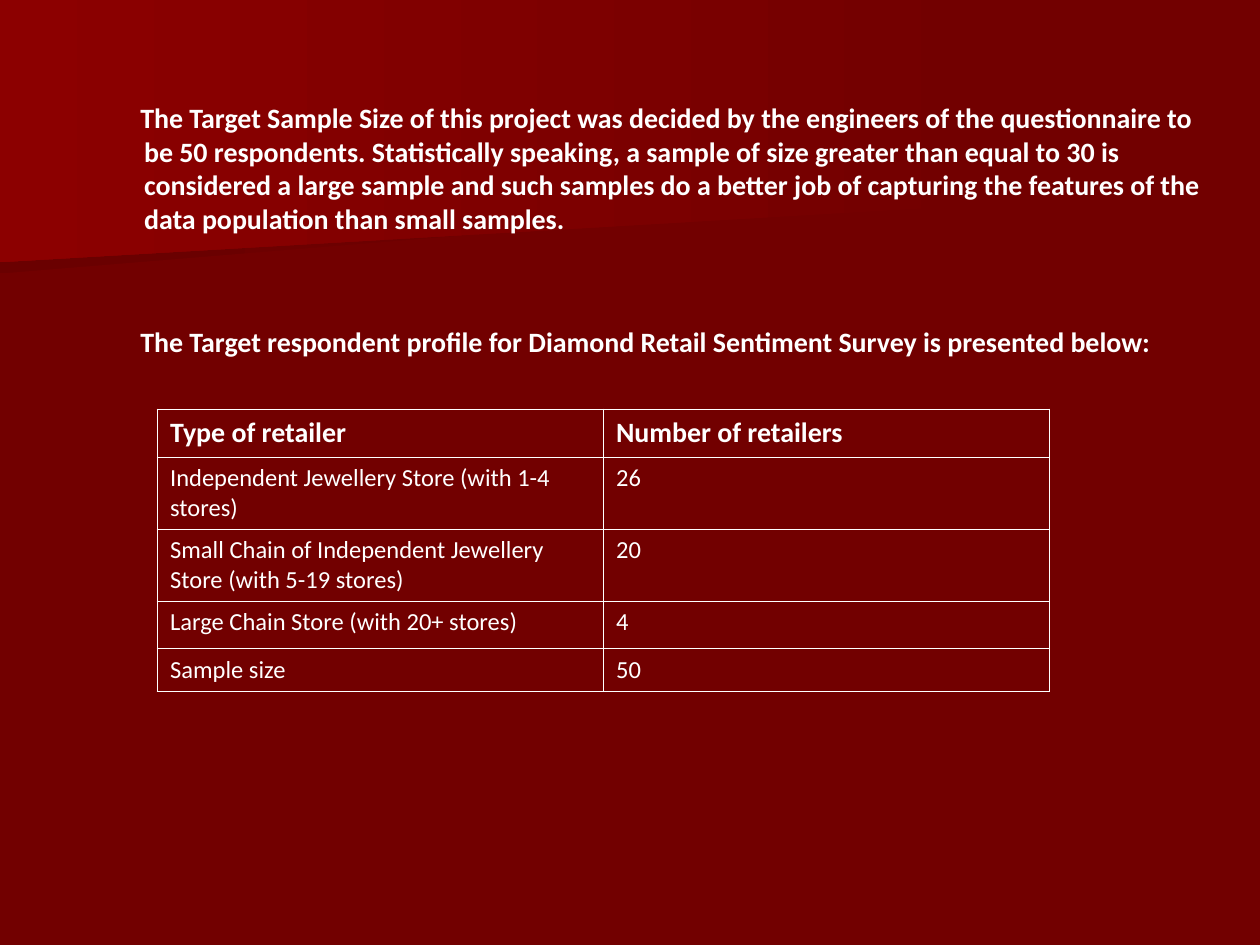
from dataclasses import dataclass

from lxml import etree
from pptx import Presentation
from pptx.dml.color import RGBColor
from pptx.enum.text import MSO_ANCHOR, PP_ALIGN
from pptx.oxml.ns import qn
from pptx.slide import Slide
from pptx.util import Emu, Inches, Pt

LEFT = PP_ALIGN.LEFT
TOP = MSO_ANCHOR.TOP
FONT = "Calibri"
UNIT = Inches(0.1)
COLS, ROWS = 100, 75
THIN, THICK = 0.45, 1.08
HUES = {"base": "720000", "dark": "6A0000", "glow": "8C0000", "ink": "FFFFFF"}


@dataclass
class Band:
    points: list[tuple[float, float]]
    hue: str


@dataclass
class Para:
    text: str
    gap: float


BANDS = [
    Band([(0, 10.1), (77.9, 10.1), (77.8, 15.3), (0, 21.7)], "dark"),
    Band([(0, 0), (79.2, 0), (79.2, 16.2), (0, 20.8)], "glow"),
]
PARAS = [
    Para(
        "The Target Sample Size of this project was decided by the engineers "
        "of the questionnaire to be 50 respondents. Statistically speaking, "
        "a sample of size greater than equal to 30 is considered a large "
        "sample and such samples do a better job of capturing the features "
        "of the data population than small samples.",
        0,
    ),
    Para(
        "The Target respondent profile for Diamond Retail Sentiment Survey "
        "is presented below:",
        51,
    ),
]
CELLS = [
    ("Type of retailer", "Number of retailers"),
    ("Independent Jewellery Store (with 1-4 stores)", "26"),
    ("Small Chain of Independent Jewellery Store (with 5-19 stores)", "20"),
    ("Large Chain Store (with 20+ stores)", "4"),
    ("Sample size", "50"),
]
HEIGHTS = [3.8, 5.7, 5.7, 3.8, 3.4]
WIDTH = 35.4


def span(count: float) -> Emu:
    return Emu(round(count * UNIT))


def hue(name: str) -> RGBColor:
    return RGBColor.from_string(HUES[name])


def style(para, size: float, bold: bool) -> None:
    para.alignment = LEFT
    for run in para.runs:
        font = run.font
        font.name, font.size, font.bold = FONT, Pt(size), bold
        font.color.rgb = hue("ink")


def draw_band(slide: Slide, band: Band) -> None:
    spots = [(span(x), span(y)) for x, y in band.points]
    pen = slide.shapes.build_freeform(*spots[0])
    pen.add_line_segments(spots[1:], close=True)
    shape = pen.convert_to_shape()
    shape.shadow.inherit = False
    shape.line.fill.background()
    shape.fill.gradient()
    shape.fill.gradient_angle = 180
    for stop, name, place in zip(
        shape.fill.gradient_stops, ("base", band.hue), (0, 1)
    ):
        stop.color.rgb = hue(name)
        stop.position = place


def draw_text(slide: Slide, paras: list[Para]) -> None:
    box = slide.shapes.add_textbox(span(6.7), span(4.2), span(90), span(25))
    frame = box.text_frame
    frame.word_wrap = True
    frame.vertical_anchor = TOP
    frame.margin_top = span(3.8)
    frame.text = "\n".join(item.text for item in paras)
    for para, item in zip(frame.paragraphs, paras):
        style(para, 16, True)
        para.space_before = Pt(item.gap)
        props = para._p.get_or_add_pPr()
        props.set("marL", str(span(3.75)))
        props.set("indent", str(span(-0.3)))


def draw_edge(cell, side: str, width: float) -> None:
    props = cell._tc.get_or_add_tcPr()
    line = etree.SubElement(props, qn(f"a:ln{side}"), w=str(Pt(width)))
    fill = etree.SubElement(line, qn("a:solidFill"))
    etree.SubElement(fill, qn("a:srgbClr"), val=HUES["ink"])


def draw_table(slide: Slide, cells: list[tuple[str, str]]) -> None:
    rows, cols = len(cells), len(cells[0])
    table = slide.shapes.add_table(
        rows, cols, span(12.5), span(32.5), span(WIDTH * cols), span(sum(HEIGHTS))
    ).table
    table.first_row = table.horz_banding = False
    for col in table.columns:
        col.width = span(WIDTH)
    for r, texts in enumerate(cells):
        table.rows[r].height = span(HEIGHTS[r])
        for c, text in enumerate(texts):
            cell = table.cell(r, c)
            cell.text = text
            cell.vertical_anchor = TOP
            style(cell.text_frame.paragraphs[0], 14 if r else 16, r == 0)
            outer = {
                "L": c == 0,
                "R": c == cols - 1,
                "T": r == 0,
                "B": r == rows - 1,
            }
            for side, edge in outer.items():
                draw_edge(cell, side, THICK if edge else THIN)
            cell.fill.background()


def main() -> None:
    deck = Presentation()
    deck.slide_width, deck.slide_height = span(COLS), span(ROWS)
    slide = deck.slides.add_slide(deck.slide_layouts[6])
    back = slide.background.fill
    back.solid()
    back.fore_color.rgb = hue("base")
    for band in BANDS:
        draw_band(slide, band)
    draw_text(slide, PARAS)
    draw_table(slide, CELLS)
    deck.save("out.pptx")


if __name__ == "__main__":
    main()
